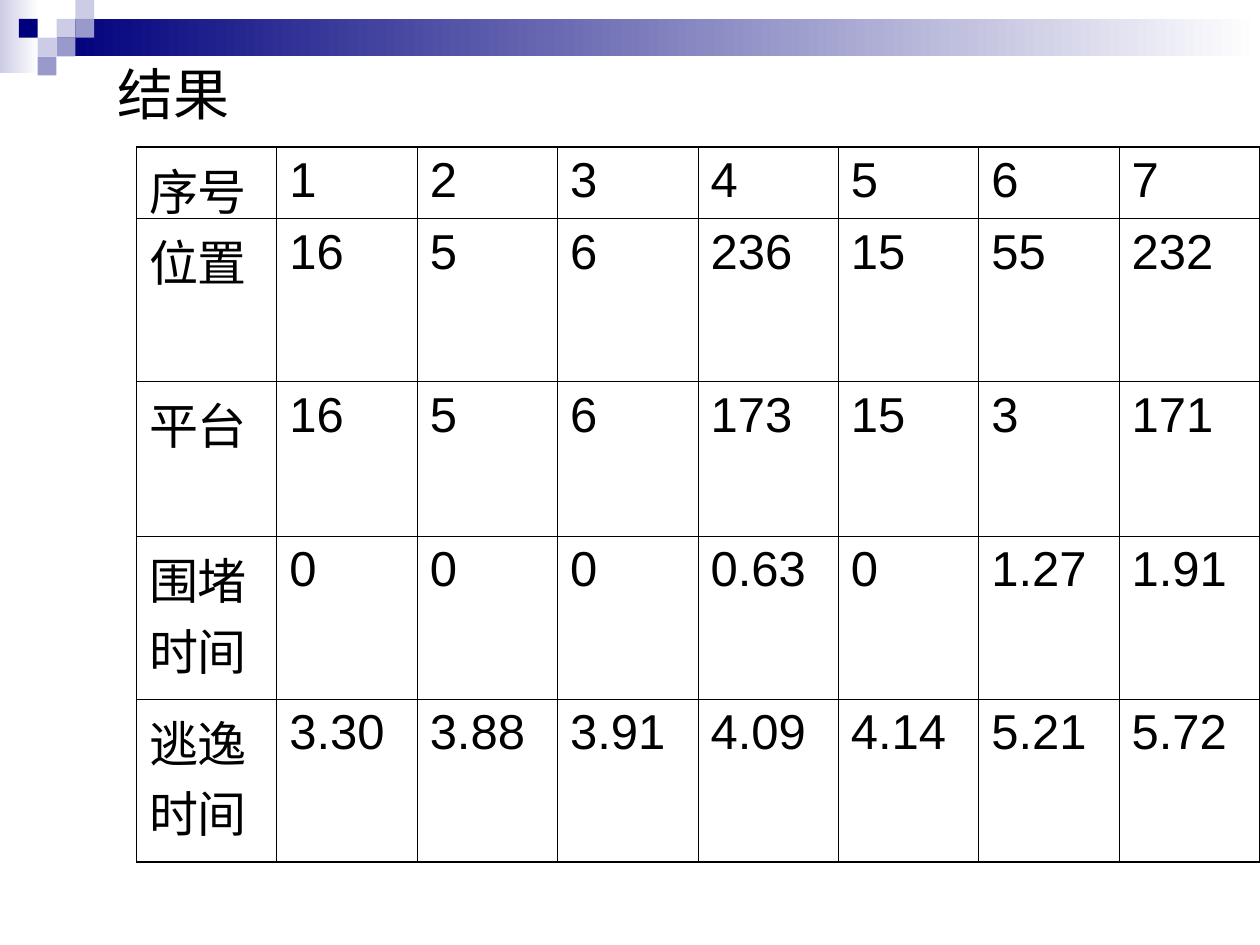
from lxml.etree import SubElement
from pptx import Presentation
from pptx.dml.color import RGBColor as RGB
from pptx.enum.shapes import MSO_SHAPE as SHAPE
from pptx.enum.text import MSO_ANCHOR, MSO_AUTO_SIZE, PP_ALIGN
from pptx.oxml.ns import qn
from pptx.util import Cm, Pt

COLORS = {"navy": "00007D", "mid": "9999CC", "pale": "CCCCE6",
          "white": "FFFFFF", "black": "000000"}
FONT = "Arial"
TILE = 0.38
ROW_HEIGHTS = [1.44, 3.28, 3.12, 3.28, 3.28]
COL_WIDTH = 2.83
RESULTS = [
    ["序号", "1", "2", "3", "4", "5", "6", "7"],
    ["位置", "16", "5", "6", "236", "15", "55", "232"],
    ["平台", "16", "5", "6", "173", "15", "3", "171"],
    ["围堵时间", "0", "0", "0", "0.63", "0", "1.27", "1.91"],
    ["逃逸时间", "3.30", "3.88", "3.91", "4.09", "4.14", "5.21", "5.72"],
]


def add_block(s, left, top, width, height, color, fade=False):
    """Add a borderless rectangle, solid or fading to white on the right."""
    sp = s.shapes.add_shape(SHAPE.RECTANGLE, Cm(left), Cm(top), Cm(width), Cm(height))
    sp.shadow.inherit = False
    sp.line.fill.background()
    if fade:
        sp.fill.gradient()
        sp.fill.gradient_angle = 0
        for stop, name in zip(sp.fill.gradient_stops, (color, "white")):
            stop.color.rgb = RGB.from_string(COLORS[name])
    else:
        sp.fill.solid()
        sp.fill.fore_color.rgb = RGB.from_string(COLORS[color])


def add_border(cell, side, width):
    ln = SubElement(cell._tc.get_or_add_tcPr(), qn(f"a:ln{side}"), w=str(Pt(width)))
    fill = SubElement(ln, qn("a:solidFill"))
    SubElement(fill, qn("a:srgbClr"), val=COLORS["black"])


prs = Presentation()
prs.slide_width, prs.slide_height = Cm(25.4), Cm(19.05)
s = prs.slides.add_slide(prs.slide_layouts[5])

# Header band and its checkered tiles
add_block(s, 0, 0, 0.78, 1.47, "pale", fade=True)
add_block(s, 1.14, 0.38, 24.26, 0.75, "navy", fade=True)
tiles = [(3, 1, "pale"), (4, 0, "pale"), (4, 1, "mid"), (2, 2, "pale"),
         (1, 1, "navy"), (3, 2, "mid"), (2, 3, "mid")]
for col, row, color in tiles:
    add_block(s, col * TILE, row * TILE, TILE, TILE, color)

# Results table with a heavier outer frame
rows, cols = len(RESULTS), len(RESULTS[0])
frame = s.shapes.add_table(rows, cols, Cm(2.75), Cm(2.97),
                           Cm(cols * COL_WIDTH), Cm(sum(ROW_HEIGHTS)))
table = frame.table
table.first_row = table.horz_banding = False
for column in table.columns:
    column.width = Cm(COL_WIDTH)
for i, values in enumerate(RESULTS):
    table.rows[i].height = Cm(ROW_HEIGHTS[i])
    for j, value in enumerate(values):
        cell = table.cell(i, j)
        cell.text = value
        p = cell.text_frame.paragraphs[0]
        p.space_before = Pt(7)
        p.font.size, p.font.name = Pt(28), FONT
        p.font.color.rgb = RGB.from_string(COLORS["black"])
        outer = {"L": j == 0, "R": j == cols - 1, "T": i == 0, "B": i == rows - 1}
        for side, is_outer in outer.items():
            add_border(cell, side, 1.08 if is_outer else 0.45)
        cell.fill.background()

# Title
title = s.shapes.title
title.left, title.top, title.width, title.height = Cm(2.11), Cm(1.07), Cm(2.77), Cm(1.63)
tf = title.text_frame
tf.text = "结果"
tf.word_wrap = False
tf.auto_size = MSO_AUTO_SIZE.SHAPE_TO_FIT_TEXT
tf.vertical_anchor = MSO_ANCHOR.TOP
p = tf.paragraphs[0]
p.alignment = PP_ALIGN.LEFT
p.font.size, p.font.name = Pt(32), FONT
p.font.color.rgb = RGB.from_string(COLORS["black"])

prs.save("out.pptx")
